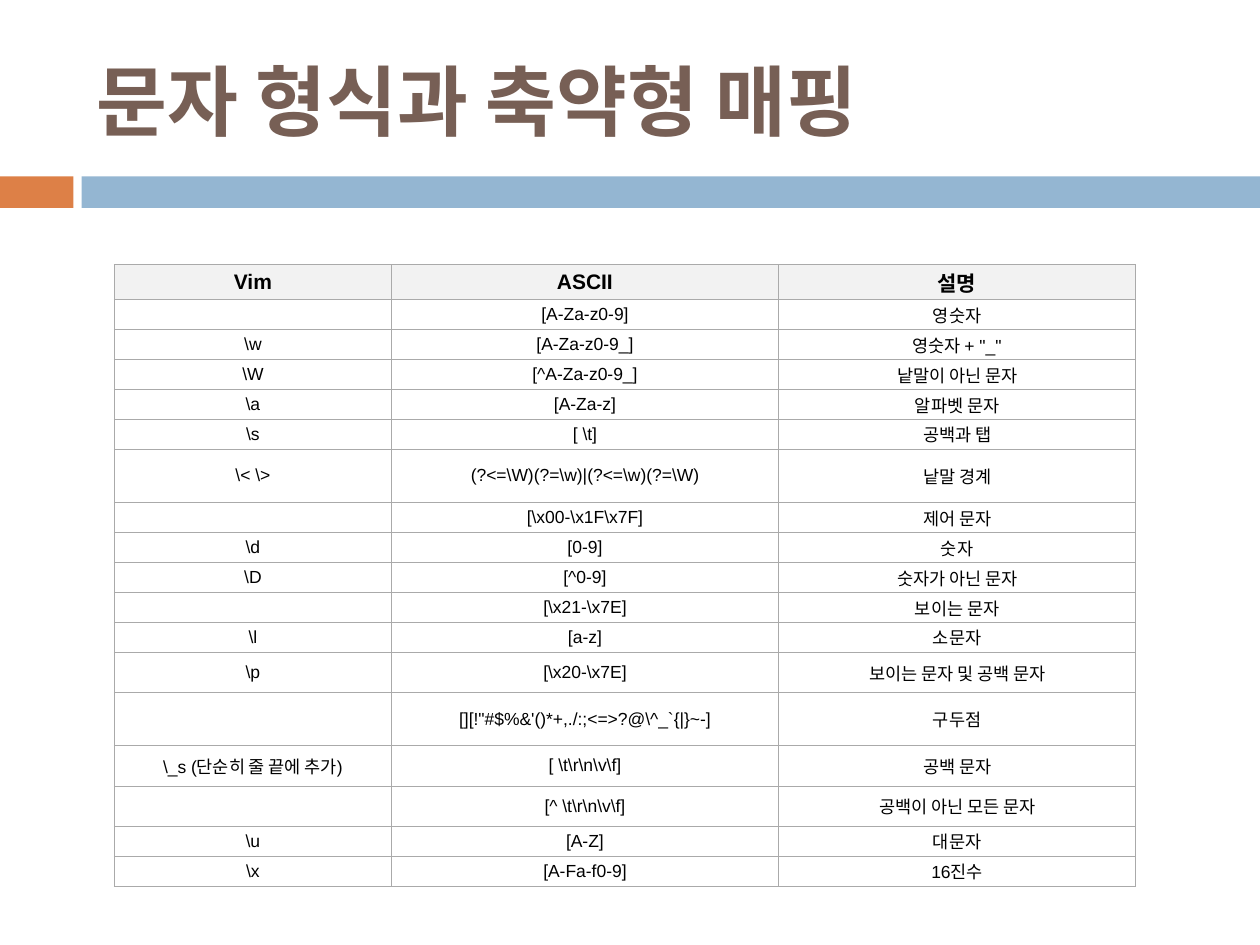
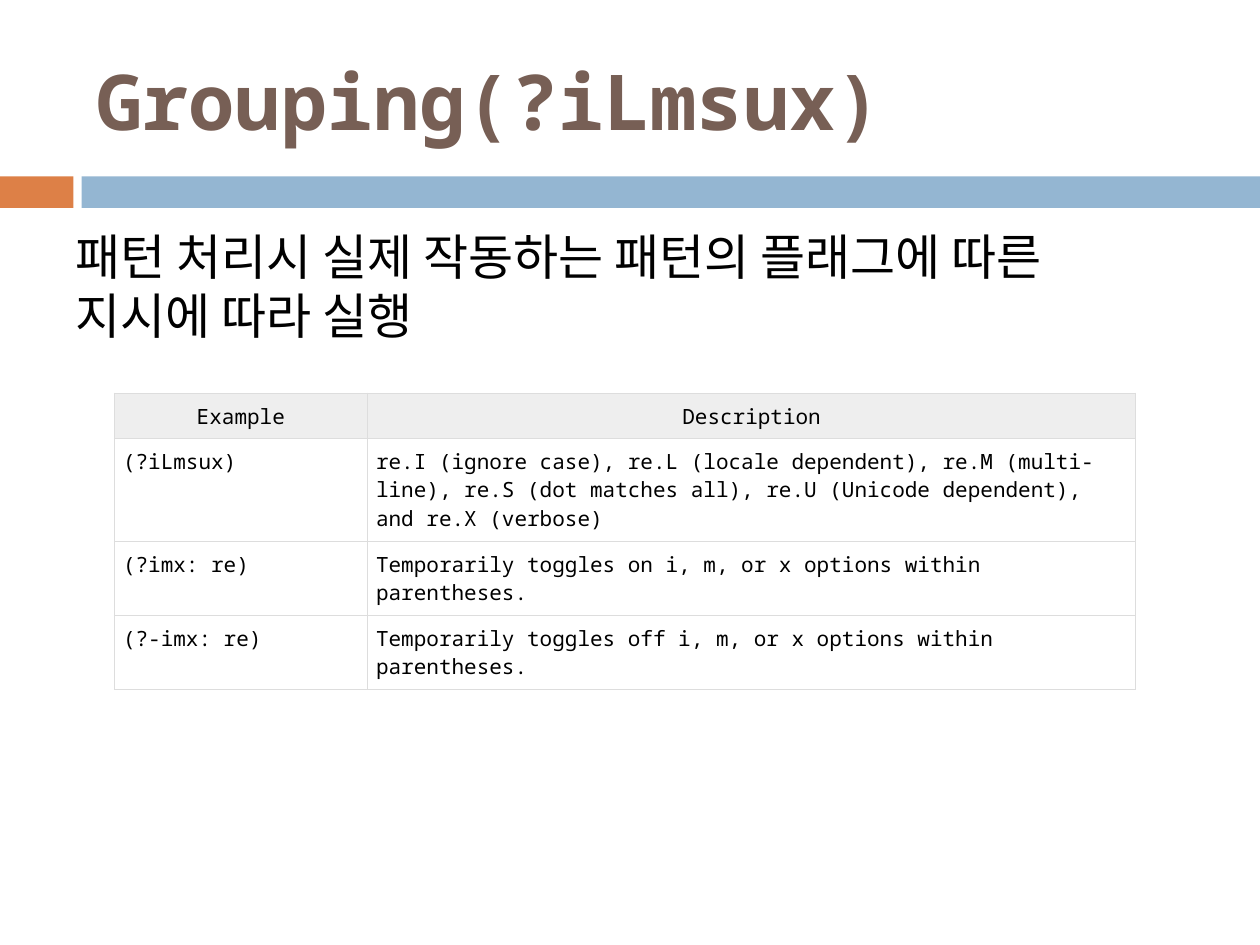
import pptx
import pptx.util
import pptx.dml.color
import pptx.enum.shapes
import pptx.enum.text
import lxml.etree

Pt = pptx.util.Pt
ALIGN = pptx.enum.text.PP_ALIGN
ANCHOR = pptx.enum.text.MSO_ANCHOR

# Content: rows hold (height, cells)
MAP_TITLE = "문자 형식과 축약형 매핑"
MAP_COLS = (158.4, 221.1, 204.2)
LOW, MID, TALL = 17.14, 23, 30.4
MAP_ROWS = [
    (20, ("Vim", "ASCII", "설명")),
    (LOW, ("", "[A-Za-z0-9]", "영숫자")),
    (LOW, (r"\w", "[A-Za-z0-9_]", '영숫자 + "_"')),
    (LOW, (r"\W", "[^A-Za-z0-9_]", "낱말이 아닌 문자")),
    (LOW, (r"\a", "[A-Za-z]", "알파벳 문자")),
    (LOW, (r"\s", r"[ \t]", "공백과 탭")),
    (TALL, (r"\< \>", r"(?<=\W)(?=\w)|(?<=\w)(?=\W)", "낱말 경계")),
    (LOW, ("", r"[\x00-\x1F\x7F]", "제어 문자")),
    (LOW, (r"\d", "[0-9]", "숫자")),
    (LOW, (r"\D", "[^0-9]", "숫자가 아닌 문자")),
    (LOW, ("", r"[\x21-\x7E]", "보이는 문자")),
    (LOW, (r"\l", "[a-z]", "소문자")),
    (MID, (r"\p", r"[\x20-\x7E]", "보이는 문자 및 공백 문자")),
    (TALL, ("", r"""[][!"#$%&'()*+,./:;<=>?@\^_`{|}~-]""", "구두점")),
    (MID, (r"\_s (단순히 줄 끝에 추가)", r"[ \t\r\n\v\f]", "공백 문자")),
    (MID, ("", r"[^ \t\r\n\v\f]", "공백이 아닌 모든 문자")),
    (LOW, (r"\u", "[A-Z]", "대문자")),
    (LOW, (r"\x", "[A-Fa-f0-9]", "16진수")),
]

GROUP_TITLE = "Grouping(?iLmsux)"
GROUP_LEAD = "패턴 처리시 실제 작동하는 패턴의 플래그에 따른 지시에 따라 실행"
GROUP_COLS = (144.6, 439.2)
GROUP_ROWS = [
    (25.7, ("Example", "Description")),
    (58.9, ("(?iLmsux)",
            "re.I (ignore case), re.L (locale dependent), re.M (multi-line), "
            "re.S (dot matches all), re.U (Unicode dependent), "
            "and re.X (verbose)")),
    (42.3, ("(?imx: re)",
            "Temporarily toggles on i, m, or x options within parentheses.")),
    (42.3, ("(?-imx: re)",
            "Temporarily toggles off i, m, or x options within parentheses.")),
]

# Shared look
MONO, SANS = "Noto Sans Mono", "Arial"
BLACK, BROWN = "000000", "775F55"
BANDS = [(0, 42, "DD8047"), (46.6, 673.4, "94B6D2")]
LEFT = 65.3


def color(code):
    return pptx.dml.color.RGBColor.from_string(code)


def write(frame, text, size, font, ink=BLACK, bold=False, align=ALIGN.LEFT):
    para = frame.paragraphs[0]
    para.alignment = align
    if not text:  # keeps an empty cell as low as its row
        end = lxml.etree.SubElement(
            para._p, pptx.oxml.ns.qn("a:endParaRPr"))
        end.set("sz", str(size * 100))
        return
    run = para.add_run()
    run.text = text
    run.font.size = Pt(size)
    run.font.name = font
    run.font.bold = bold
    run.font.color.rgb = color(ink)


def add_text(slide, box, text, size, anchor, **look):
    frame = slide.shapes.add_textbox(*map(Pt, box)).text_frame
    frame.word_wrap = True
    frame.vertical_anchor = anchor
    write(frame, text, size, MONO, **look)


def add_page(deck, title):
    slide = deck.slides.add_slide(deck.slide_layouts[6])
    for left, width, fill in BANDS:
        band = slide.shapes.add_shape(
            pptx.enum.shapes.MSO_SHAPE.RECTANGLE,
            Pt(left), Pt(100.8), Pt(width), Pt(18))
        band.shadow.inherit = False
        band.fill.solid()
        band.fill.fore_color.rgb = color(fill)
        band.line.fill.background()
    add_text(slide, (48, 18, 642, 78), title, 44, ANCHOR.MIDDLE,
             ink=BROWN, bold=True)
    return slide


def add_edges(cell, ink):
    props = cell._tc.get_or_add_tcPr()
    for spot, side in enumerate(("lnL", "lnR", "lnT", "lnB")):
        line = pptx.oxml.parse_xml(
            f'<a:{side} {pptx.oxml.ns.nsdecls("a")} w="7620">'
            f'<a:solidFill><a:srgbClr val="{ink}"/></a:solidFill></a:{side}>')
        props.insert(spot, line)


def add_grid(slide, top, cols, rows, edge, head, pads, anchor, style):
    """style(row) gives the text look of that row."""
    high = sum(height for height, _ in rows)
    table = slide.shapes.add_table(
        len(rows), len(cols), Pt(LEFT), Pt(top),
        Pt(sum(cols)), Pt(high)).table
    table.horz_banding = False
    for col, width in zip(table.columns, cols):
        col.width = Pt(width)
    for r, (height, texts) in enumerate(rows):
        table.rows[r].height = Pt(height)
        for c, text in enumerate(texts):
            cell = table.cell(r, c)
            cell.margin_left = cell.margin_right = Pt(pads[0])
            cell.margin_top = cell.margin_bottom = Pt(pads[1])
            cell.vertical_anchor = anchor
            if r == 0:
                cell.fill.solid()
                cell.fill.fore_color.rgb = color(head)
            else:
                cell.fill.background()
            add_edges(cell, edge)
            write(cell.text_frame, text, **style(r))


def map_style(row):
    return dict(size=10 if row else 12, font=SANS, bold=row == 0,
                align=ALIGN.CENTER)


def group_style(row):
    return dict(size=12, font=MONO,
                align=ALIGN.LEFT if row else ALIGN.CENTER)


def main():
    deck = pptx.Presentation()
    deck.slide_width, deck.slide_height = Pt(720), Pt(540)

    # Character classes
    slide = add_page(deck, MAP_TITLE)
    add_grid(slide, 151.2, MAP_COLS, MAP_ROWS, "AAAAAA", "F2F2F2",
             (2.9, 1.4), ANCHOR.MIDDLE, map_style)

    # Grouping flags
    slide = add_page(deck, GROUP_TITLE)
    add_text(slide, (36, 126, 648, 87), GROUP_LEAD, 28, ANCHOR.TOP)
    add_grid(slide, 224.6, GROUP_COLS, GROUP_ROWS, "DDDDDD", "EEEEEE",
             (5, 5), ANCHOR.TOP, group_style)

    deck.save("out.pptx")


if __name__ == "__main__":
    main()
